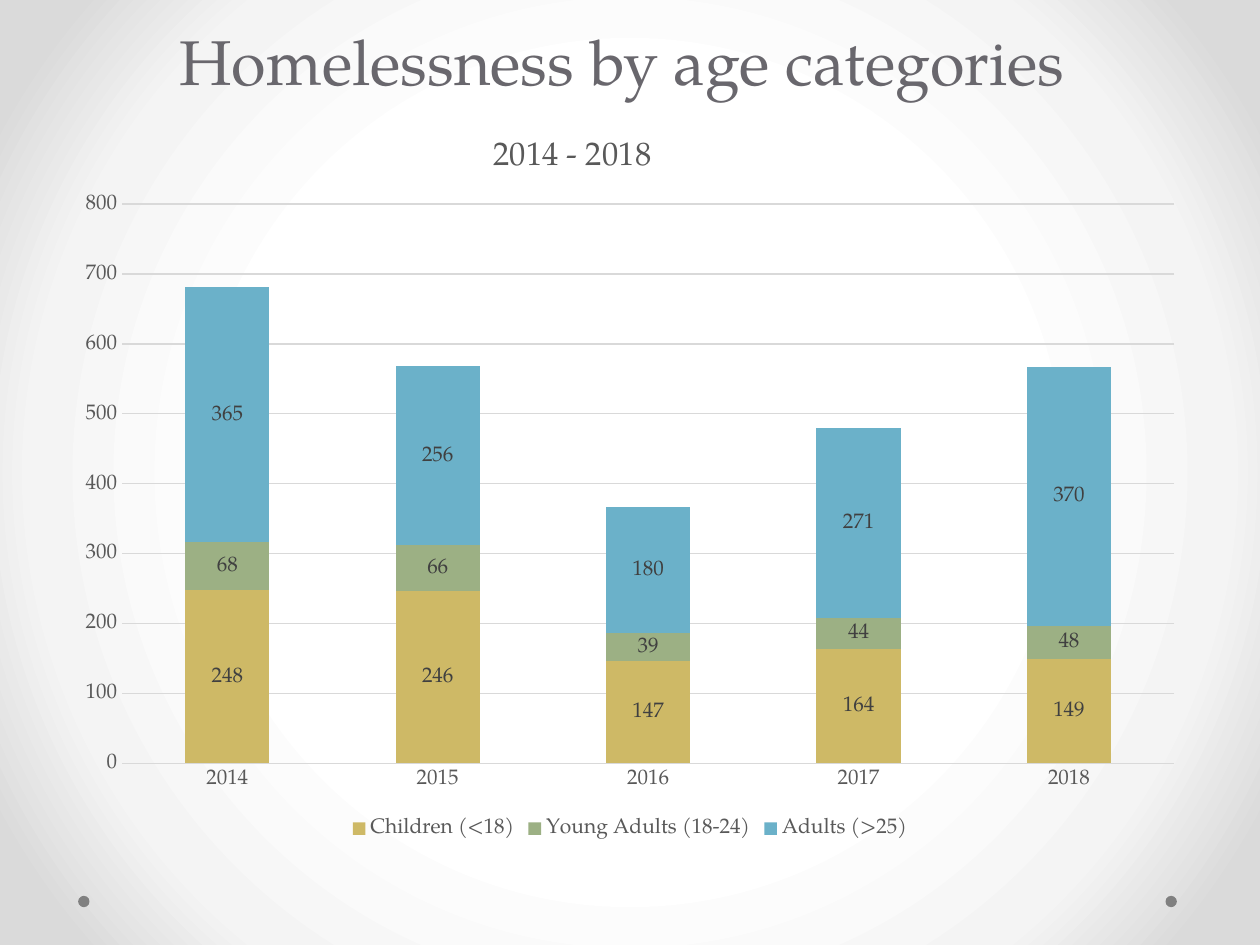
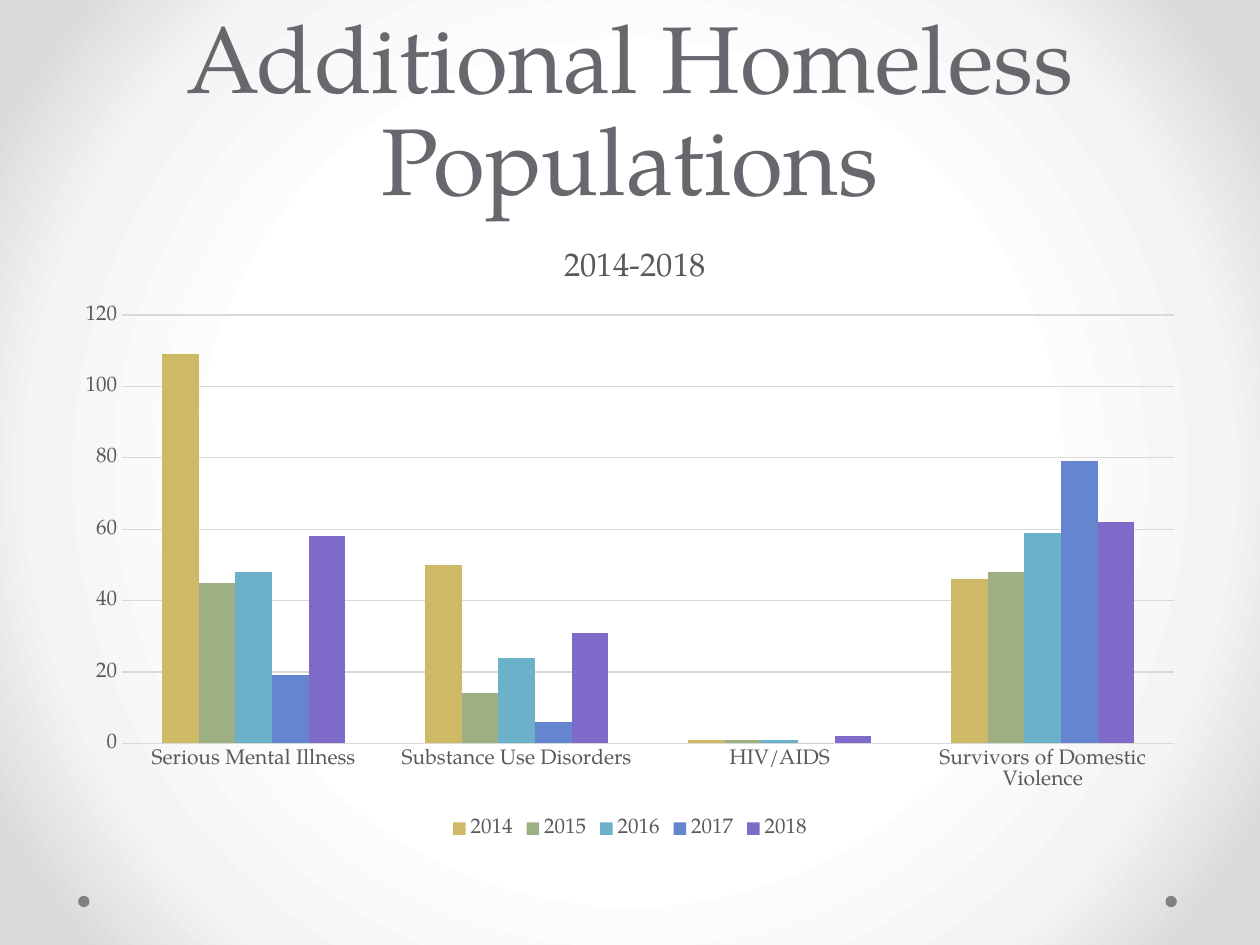
from pptx import Presentation
from pptx.chart.data import CategoryChartData
from pptx.dml.color import RGBColor
from pptx.enum.chart import XL_CHART_TYPE, XL_LABEL_POSITION, XL_LEGEND_POSITION, XL_TICK_MARK
from pptx.enum.shapes import MSO_SHAPE
from pptx.enum.text import MSO_ANCHOR, PP_ALIGN
from pptx.oxml import parse_xml
from pptx.oxml.ns import nsdecls
from pptx.util import Inches, Pt

FONT = "TeX Gyre Pagella"
TITLE, DOT, MUTED, LABEL, GRID = "69676D", "808080", "595959", "404040", "D9D9D9"
SERIES_COLORS = ["CEB966", "9CB084", "6BB1C9", "6585CF", "7E6BC9"]
BACKGROUND = [(50, "FFFFFF"), (76, "F4F4F4"), (92, "DADADA")]
DOT_LEFTS, DOT_TOP, DOT_SIZE = (9.25, 0.62), 7.11, 0.09
MARGIN, WIDTH, CHART_BOTTOM = 0.5, 9, 6.7

# Boxes inside a chart are inches from the chart's corner: left, top, width, height
SLIDES = [
    {
        "title": "Homelessness by age categories ", "size": 36, "title_height": 0.83,
        "type": XL_CHART_TYPE.COLUMN_STACKED, "gap": 150, "overlap": 100,
        "labels": True, "max": 800, "unit": 100,
        "chart_title": "2014 - 2018", "chart_title_at": (3.37, 0.22),
        "plot": (0.47, 0.79, 8.35, 4.44),
        "categories": ["2014", "2015", "2016", "2017", "2018"],
        "series": [
            ("Children (<18)", [248, 246, 147, 164, 149]),
            ("Young Adults (18-24)", [68, 66, 39, 44, 48]),
            ("Adults (>25)", [365, 256, 180, 271, 370]),
        ],
    },
    {
        "title": "Additional Homeless Populations", "size": 54, "title_height": 1.75,
        "type": XL_CHART_TYPE.COLUMN_CLUSTERED, "gap": 219, "overlap": 0,
        "labels": False, "max": 120, "unit": 20,
        "chart_title": "2014-2018", "chart_title_at": (3.93, 0.18),
        "plot": (0.47, 0.75, 8.35, 3.4),
        "categories": ["Serious Mental Illness", "Substance Use Disorders",
                       "HIV/AIDS", "Survivors of Domestic Violence"],
        "series": [
            ("2014", [109, 50, 1, 46]),
            ("2015", [45, 14, 1, 48]),
            ("2016", [48, 24, 1, 59]),
            ("2017", [19, 6, 0, 79]),
            ("2018", [58, 31, 2, 62]),
        ],
    },
]


def rgb(color):
    return RGBColor.from_string(color)


def paint(fill, color):
    fill.solid()
    fill.fore_color.rgb = rgb(color)


def style_font(font, size, color):
    font.name, font.size, font.bold = FONT, Pt(size), False
    font.color.rgb = rgb(color)


def style_line(line, color):
    line.width = Pt(0.75)
    line.color.rgb = rgb(color)


def add_background(s):
    stops = "".join(f'<a:gs pos="{pos * 1000}"><a:srgbClr val="{color}"/></a:gs>'
                    for pos, color in BACKGROUND)
    s.element.cSld.insert(0, parse_xml(
        f'<p:bg {nsdecls("p", "a")}><p:bgPr><a:gradFill rotWithShape="1">'
        f'<a:gsLst>{stops}</a:gsLst><a:path path="circle">'
        '<a:fillToRect l="50000" t="50000" r="50000" b="50000"/></a:path>'
        '</a:gradFill><a:effectLst/></p:bgPr></p:bg>'))
    for left in DOT_LEFTS:
        dot = s.shapes.add_shape(MSO_SHAPE.OVAL, Inches(left), Inches(DOT_TOP),
                                 Inches(DOT_SIZE), Inches(DOT_SIZE))
        dot.shadow.inherit = False
        paint(dot.fill, DOT)
        dot.line.fill.background()


def add_title(s, text, size, height):
    tf = s.shapes.add_textbox(Inches(MARGIN), 0, Inches(WIDTH), Inches(height)).text_frame
    tf.word_wrap = True
    tf.vertical_anchor = MSO_ANCHOR.BOTTOM
    p = tf.paragraphs[0]
    p.alignment, p.line_spacing = PP_ALIGN.CENTER, Pt(58)
    r = p.add_run()
    r.text = text
    style_font(r.font, size, TITLE)


def layout_xml(box, chart_height, inner=False):
    """Manual layout, as fractions of the chart, for a box in inches."""
    target = '<c:layoutTarget val="inner"/>' if inner else ""
    modes = '<c:xMode val="edge"/><c:yMode val="edge"/>'
    sizes = (WIDTH, chart_height, WIDTH, chart_height)
    parts = "".join(f'<c:{name} val="{length / total:.4f}"/>'
                    for name, length, total in zip("xywh", box, sizes))
    return parse_xml(f'<c:layout {nsdecls("c")}><c:manualLayout>{target}{modes}{parts}'
                     '</c:manualLayout></c:layout>')


def place(element, layout, index):
    for old in element.findall(layout.tag):
        element.remove(old)
    element.insert(index, layout)


def style_axes(chart, maximum, unit):
    for axis in (chart.category_axis, chart.value_axis):
        axis.major_tick_mark = axis.minor_tick_mark = XL_TICK_MARK.NONE
        style_font(axis.tick_labels.font, 12, MUTED)
    style_line(chart.category_axis.format.line, GRID)
    values = chart.value_axis
    values.minimum_scale, values.maximum_scale, values.major_unit = 0, maximum, unit
    values.format.line.fill.background()
    values.has_major_gridlines = True
    style_line(values.major_gridlines.format.line, GRID)


def add_column_chart(s, content):
    top = content["title_height"]
    height = CHART_BOTTOM - top
    data = CategoryChartData()
    data.categories = content["categories"]
    for name, values in content["series"]:
        data.add_series(name, values)
    chart = s.shapes.add_chart(content["type"], Inches(MARGIN), Inches(top),
                               Inches(WIDTH), Inches(height), data).chart
    style_font(chart.font, 10, "000000")
    style_axes(chart, content["max"], content["unit"])

    chart.has_title = True
    title = chart.chart_title
    r = title.text_frame.paragraphs[0].add_run()
    r.text = content["chart_title"]
    style_font(r.font, 18.6, MUTED)
    title.include_in_layout = False
    place(title._element, layout_xml(content["chart_title_at"], height), 1)
    place(chart._chartSpace.chart.plotArea,
          layout_xml(content["plot"], height, inner=True), 0)

    chart.has_legend = True
    chart.legend.position = XL_LEGEND_POSITION.BOTTOM
    chart.legend.include_in_layout = False
    style_font(chart.legend.font, 12, MUTED)

    plot = chart.plots[0]
    plot.gap_width, plot.overlap = content["gap"], content["overlap"]
    plot.vary_by_categories = False
    for series, color in zip(plot.series, SERIES_COLORS):
        paint(series.format.fill, color)
        if content["labels"]:
            labels = series.data_labels
            labels.show_value = True
            labels.position = XL_LABEL_POSITION.CENTER
            style_font(labels.font, 12, LABEL)


def main():
    prs = Presentation()
    prs.slide_width, prs.slide_height = Inches(10), Inches(7.5)
    for content in SLIDES:
        s = prs.slides.add_slide(prs.slide_layouts[6])
        add_background(s)
        add_title(s, content["title"], content["size"], content["title_height"])
        add_column_chart(s, content)
    prs.save("out.pptx")


if __name__ == "__main__":
    main()
